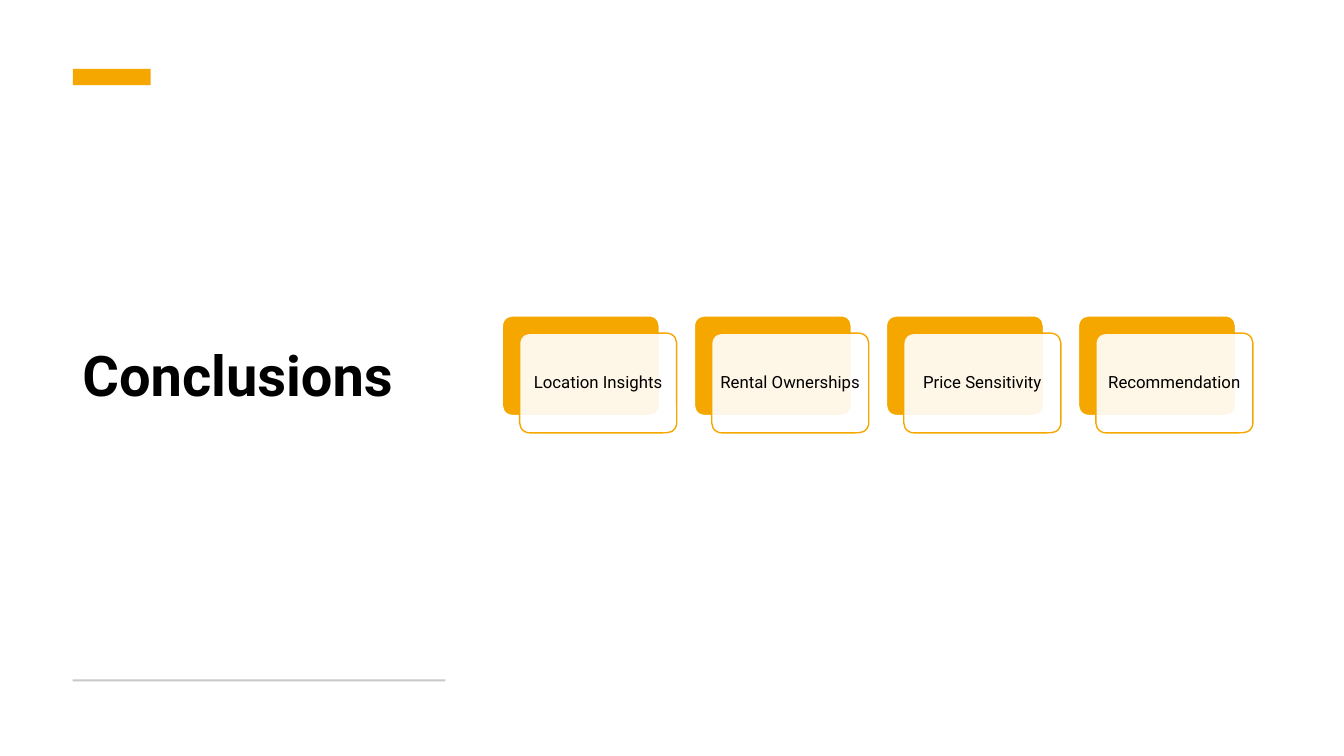
from dataclasses import dataclass
from typing import Any, Optional

from lxml import etree
from pptx import Presentation
from pptx import util as u
from pptx.dml.color import RGBColor
from pptx.enum import shapes, text
from pptx.oxml import ns

AMBER = RGBColor(0xF5, 0xA7, 0x00)
GREY = RGBColor(0xC9, 0xC9, 0xC9)
WHITE = RGBColor(0xFF, 0xFF, 0xFF)
BLACK = RGBColor(0x00, 0x00, 0x00)

RECT = shapes.MSO_SHAPE.RECTANGLE
ROUNDED = shapes.MSO_SHAPE.ROUNDED_RECTANGLE

CARD_LEFT, CARD_TOP = 358.8, 225.6
CARD_WIDTH, CARD_HEIGHT = 112.2, 71.2
CARD_PITCH, CARD_OFFSET = 137.2, 12.4
CARD_INSET = u.Pt(3.6)

TITLE_FONT = {"name": "Roboto", "size": u.Pt(40), "bold": True}
CARD_FONT = {"name": "Roboto", "size": u.Pt(12), "bold": False}
TITLE_PARAGRAPH = {"alignment": text.PP_ALIGN.LEFT, "line_spacing": 0.9}
CARD_PARAGRAPH = {
    "alignment": text.PP_ALIGN.CENTER,
    "line_spacing": 0.9,
    "space_after": u.Pt(4.2),
}
FRAME = {"word_wrap": True, "vertical_anchor": text.MSO_ANCHOR.MIDDLE}
CARD_FRAME = FRAME | {
    "margin_left": CARD_INSET,
    "margin_top": CARD_INSET,
    "margin_right": CARD_INSET,
    "margin_bottom": CARD_INSET,
}


@dataclass(frozen=True)
class Box:
    left: float
    top: float
    width: float
    height: float
    fill: RGBColor
    line: Optional[RGBColor] = None
    kind: shapes.MSO_SHAPE = RECT
    opacity: int = 100


@dataclass(frozen=True)
class Card:
    label: str
    left: float


ACCENT_BAR = Box(52, 49.2, 55.6, 11.6, AMBER)
FOOT_RULE = Box(51.84, 485.2, 266.4, 1.5, GREY)
LABELS = ("Location Insights", "Rental Ownerships", "Price Sensitivity", "Recommendation")
CARDS = [Card(label, CARD_LEFT + i * CARD_PITCH) for i, label in enumerate(LABELS)]


def apply(target: Any, values: dict[str, Any]) -> None:
    for name, value in values.items():
        setattr(target, name, value)


def draw_box(s: Any, box: Box) -> Any:
    sp = s.shapes.add_shape(
        box.kind, u.Pt(box.left), u.Pt(box.top), u.Pt(box.width), u.Pt(box.height)
    )
    sp.shadow.inherit = False
    sp.fill.solid()
    sp.fill.fore_color.rgb = box.fill
    if box.opacity < 100:
        color = sp.fill._xPr.find(".//" + ns.qn("a:srgbClr"))
        etree.SubElement(color, ns.qn("a:alpha"), val=str(box.opacity * 1000))
    if box.line is None:
        sp.line.fill.background()
    else:
        sp.line.color.rgb = box.line
        sp.line.width = u.Pt(1)
    if box.kind == ROUNDED:
        sp.adjustments[0] = 0.1
    return sp


def write(
    sp: Any,
    words: str,
    frame: dict[str, Any],
    paragraph: dict[str, Any],
    font: dict[str, Any],
) -> None:
    tf = sp.text_frame
    apply(tf, frame)
    p = tf.paragraphs[0]
    apply(p, paragraph)
    r = p.add_run()
    r.text = words
    apply(r.font, font)
    r.font.color.rgb = BLACK


def draw_card(s: Any, card: Card) -> None:
    size = (CARD_WIDTH, CARD_HEIGHT)
    draw_box(s, Box(card.left, CARD_TOP, *size, AMBER, WHITE, ROUNDED))
    left, top = card.left + CARD_OFFSET, CARD_TOP + CARD_OFFSET
    front = draw_box(s, Box(left, top, *size, WHITE, AMBER, ROUNDED, 90))
    write(front, card.label, CARD_FRAME, CARD_PARAGRAPH, CARD_FONT)


def main() -> None:
    prs = Presentation()
    prs.slide_width, prs.slide_height = u.Pt(960), u.Pt(540)
    s = prs.slides.add_slide(prs.slide_layouts[6])
    s.background.fill.solid()
    s.background.fill.fore_color.rgb = WHITE

    title = s.shapes.add_textbox(u.Pt(51.84), u.Pt(75.6), u.Pt(266.4), u.Pt(389.5))
    write(title, "Conclusions", FRAME, TITLE_PARAGRAPH, TITLE_FONT)
    for box in (ACCENT_BAR, FOOT_RULE):
        draw_box(s, box)
    for card in CARDS:
        draw_card(s, card)

    prs.save("out.pptx")


if __name__ == "__main__":
    main()
